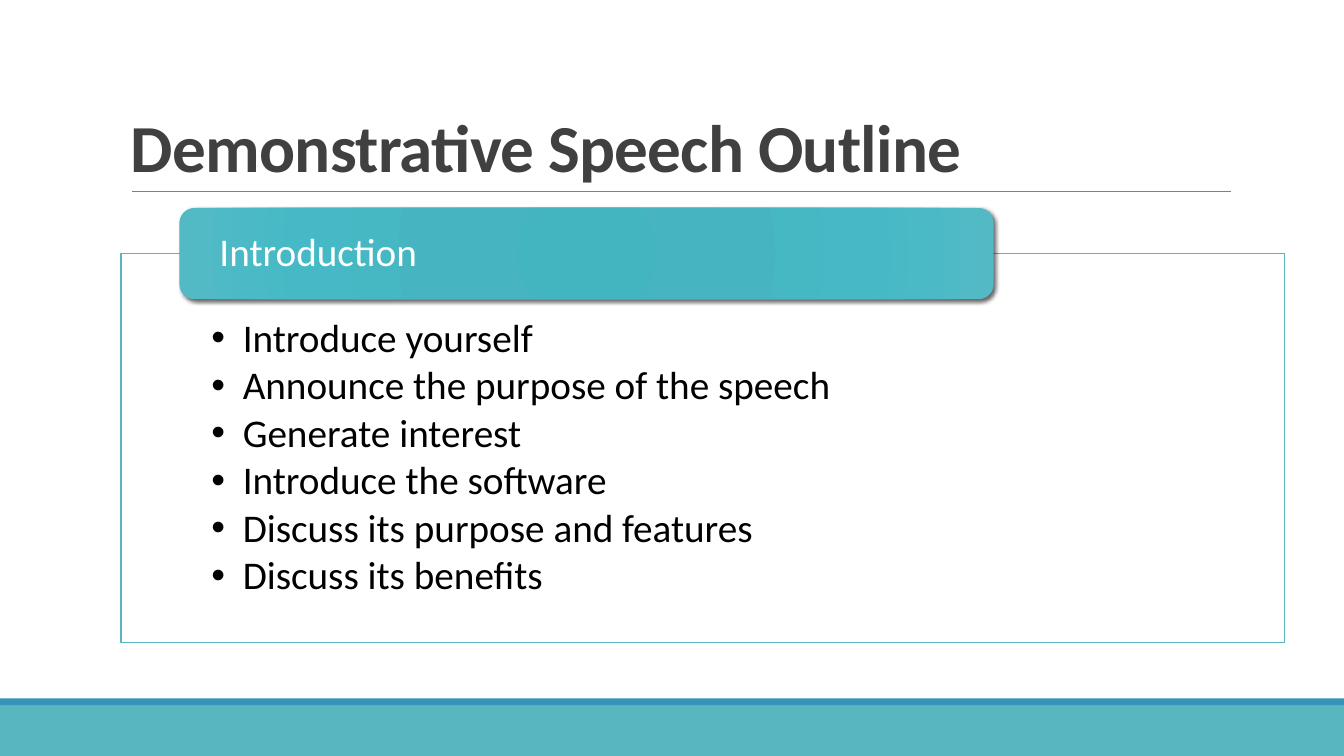
from pptx import Presentation
from pptx.dml.color import RGBColor
from pptx.enum.shapes import MSO_CONNECTOR as CONN, MSO_SHAPE as SHAPE
from pptx.enum.text import MSO_ANCHOR as ANCHOR, PP_ALIGN as ALIGN
from pptx.oxml import parse_xml
from pptx.oxml.ns import nsdecls, qn
from pptx.util import Cm, Pt
from lxml import etree

WIDTH, HEIGHT = 33.87, 19.05
TEAL, BLUE, WHITE = "58B6C0", "3494BA", "FFFFFF"
FONT = "Calibri"
HEADER_STOPS = [(0, "43B5C1"), (34, "47B5C1"), (70, "45BAC6"), (100, "53BAC5")]
POINTS = [
    "Introduce yourself",
    "Announce the purpose of the speech",
    "Generate interest",
    "Introduce the software",
    "Discuss its purpose and features",
    "Discuss its benefits",
]


def color(value):
    return RGBColor.from_string(value)


def add_box(slide, kind, x, y, w, h, fill, line=None):
    s = slide.shapes.add_shape(kind, Cm(x), Cm(y), Cm(w), Cm(h))
    s.shadow.inherit = False
    s.fill.solid()
    s.fill.fore_color.rgb = color(fill)
    if line:
        s.line.color.rgb = color(line)
        s.line.width = Pt(1)
    else:
        s.line.fill.background()
    return s


def set_frame(tf, anchor, left, top, right, bottom):
    tf.word_wrap = True
    tf.vertical_anchor = anchor
    tf.margin_left, tf.margin_top = Cm(left), Cm(top)
    tf.margin_right, tf.margin_bottom = Cm(right), Cm(bottom)


def write(p, text, size, ink, spacing, bold=False):
    p.alignment = ALIGN.LEFT
    p.line_spacing = spacing
    r = p.add_run()
    r.text = text
    r.font.name, r.font.size, r.font.bold = FONT, Pt(size), bold
    r.font.color.rgb = color(ink)
    return r


def add_bullet(p, indent):
    pPr = p._p.get_or_add_pPr()
    pPr.set("marL", str(Cm(indent)))
    pPr.set("indent", str(-Cm(indent)))
    etree.SubElement(pPr, qn("a:buFont"), typeface="Arial")
    etree.SubElement(pPr, qn("a:buChar"), char="•")


def add_circular_gradient(s, stops):
    """Swap the solid fill for a gradient centred on the lower right corner."""
    gs = "".join(
        f'<a:gs pos="{pos * 1000}"><a:srgbClr val="{value}"/></a:gs>'
        for pos, value in stops
    )
    grad = parse_xml(
        f'<a:gradFill {nsdecls("a")} rotWithShape="1"><a:gsLst>{gs}</a:gsLst>'
        '<a:path path="circle"><a:fillToRect l="100000" t="100000" '
        'r="100000" b="100000"/></a:path></a:gradFill>'
    )
    spPr = s._element.spPr
    spPr.replace(spPr.find(qn("a:solidFill")), grad)


def add_shadow(s):
    effects = s._element.spPr.find(qn("a:effectLst"))
    effects.append(parse_xml(
        f'<a:outerShdw {nsdecls("a")} blurRad="{Pt(3)}" dist="{Pt(2)}" '
        'dir="2700000" algn="tl" rotWithShape="0"><a:srgbClr val="000000">'
        '<a:alpha val="60000"/></a:srgbClr></a:outerShdw>'
    ))


def add_footer(slide, x, y, w, h):
    stripe = 0.17
    add_box(slide, SHAPE.RECTANGLE, x, y + stripe, w, h - stripe, TEAL)
    add_box(slide, SHAPE.RECTANGLE, x, y, w, stripe, BLUE)


def add_title(slide, x, y, w, h, text):
    rule = slide.shapes.add_connector(
        CONN.STRAIGHT, Cm(x + 0.28), Cm(y + h), Cm(x + w + 0.02), Cm(y + h))
    rule.line.color.rgb = color("808080")
    rule.line.width = Pt(0.5)
    etree.SubElement(rule._element.spPr, qn("a:effectLst"))
    tf = slide.shapes.add_textbox(Cm(x), Cm(y), Cm(w), Cm(h)).text_frame
    set_frame(tf, ANCHOR.BOTTOM, 0.25, 0.13, 0.25, 0.13)
    r = write(tf.paragraphs[0], text, 48, "404040", 0.85, bold=True)
    r._r.get_or_add_rPr().set("spc", "-50")


def add_section(slide, x, y, w, h, heading, points):
    """Outlined list with a heading tab that overlaps its top edge."""
    body = add_box(slide, SHAPE.RECTANGLE, x, y, w, h, WHITE, TEAL)
    tf = body.text_frame
    set_frame(tf, ANCHOR.TOP, 2.28, 1.63, 2.28, 0.56)
    for i, text in enumerate(points):
        p = tf.add_paragraph() if i else tf.paragraphs[0]
        write(p, text, 28, "000000", 0.9)
        p.space_after = Pt(3.7)
        add_bullet(p, 0.79)

    tab_h = 2.3
    tab = add_box(slide, SHAPE.ROUNDED_RECTANGLE,
                  x + 1.47, y - tab_h / 2, w * 0.7, tab_h, TEAL)
    add_circular_gradient(tab, HEADER_STOPS)
    add_shadow(tab)
    set_frame(tab.text_frame, ANCHOR.MIDDLE, 0.9, 0, 0.9, 0)
    write(tab.text_frame.paragraphs[0], heading, 28, WHITE, 0.9)


def main():
    prs = Presentation()
    prs.slide_width, prs.slide_height = Cm(WIDTH), Cm(HEIGHT)
    slide = prs.slides.add_slide(prs.slide_layouts[6])
    footer_h = 1.45
    add_footer(slide, 0, HEIGHT - footer_h, WIDTH, footer_h)
    add_title(slide, 3.05, 0.79, 27.94, 4.04, "Demonstrative Speech Outline")
    add_section(slide, 3.05, 6.39, 29.32, 9.8, "Introduction", POINTS)
    prs.save("out.pptx")


if __name__ == "__main__":
    main()
